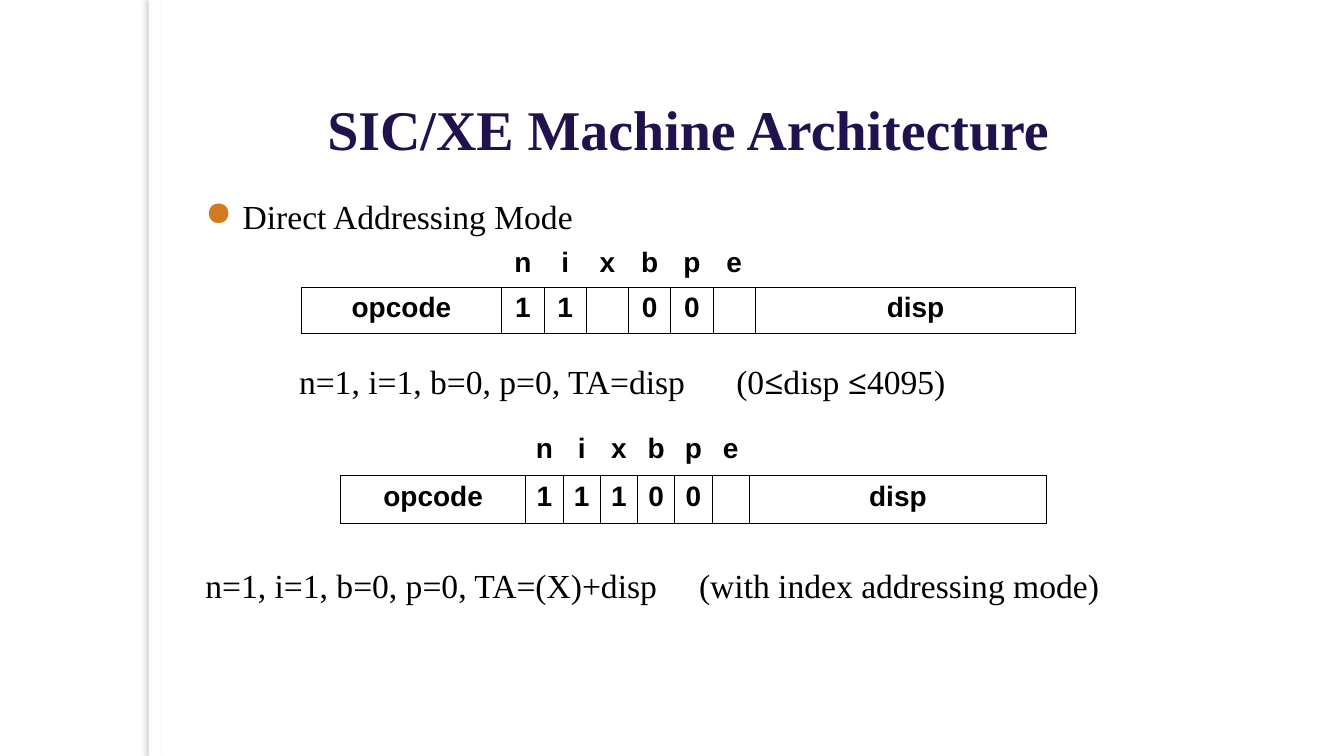
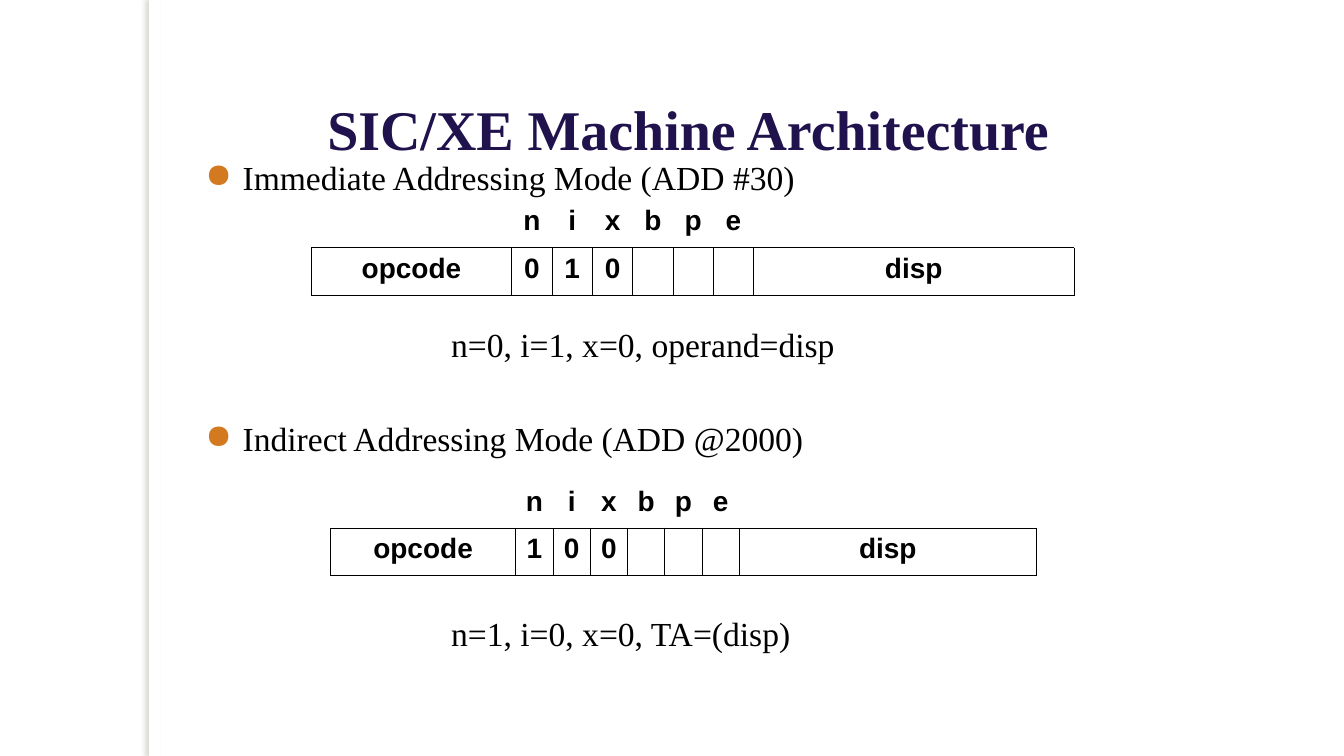
from dataclasses import dataclass
from itertools import groupby

from lxml.etree import SubElement
from pptx import Presentation
from pptx.dml.color import RGBColor
from pptx.enum.shapes import MSO_SHAPE
from pptx.enum.text import MSO_ANCHOR, PP_ALIGN
from pptx.oxml.ns import qn
from pptx.slide import Slide
from pptx.table import _Cell
from pptx.text.text import TextFrame, _Paragraph
from pptx.util import Inches, Pt

# Shared look
WHITE = RGBColor(0xFF, 0xFF, 0xFF)
BLACK = RGBColor(0x00, 0x00, 0x00)
NAVY = RGBColor(0x20, 0x12, 0x4D)
ORANGE = RGBColor(0xD3, 0x7A, 0x21)
SHADOW_GREY = RGBColor(0x73, 0x6F, 0x63)
SERIF, SANS, SYMBOL_FONT = "Times New Roman", "Arial", "Open Sans"
SLIDE_WIDTH, SLIDE_HEIGHT = 13.34, 7.5
TITLE = "SIC/XE Machine Architecture"
TITLE_LEFT, TITLE_WIDTH = 0.72, 12.22
HEADING_LEFT, HEADING_INDENT = 1.94, 0.37
FLAGS = "nixbpe"
PLAIN_TABLE_STYLE = "{2D5ABB26-0587-4C30-8999-92F81FD0307C}"


@dataclass(frozen=True)
class Heading:
    text: str
    top: float
    width: float
    height: float


@dataclass(frozen=True)
class Note:
    """A line of text; a second phrase starts at the tab stop."""
    phrases: tuple[str, ...]
    left: float
    top: float
    width: float
    height: float = 0.63
    tab_stop: float = 0


@dataclass(frozen=True)
class Instruction:
    """An instruction format; bits holds a space where a flag is open."""
    bits: str
    left: float
    top: float
    opcode_width: float
    flag_width: float
    disp_width: float
    row_height: float


@dataclass(frozen=True)
class Page:
    title_top: float
    title_height: float
    headings: tuple[Heading, ...]
    instructions: tuple[Instruction, ...]
    notes: tuple[Note, ...]


PAGES = (
    Page(
        1.04, 0.46,
        (Heading("Direct Addressing Mode", 1.89, 8.93, 0.46),),
        (Instruction("11 00 ", 2.99, 2.4, 1.99, 0.42, 3.18, 0.45),
         Instruction("11100 ", 3.38, 4.25, 1.84, 0.37, 2.95, 0.47)),
        (Note(("n=1, i=1, b=0, p=0, TA=disp", "(0≤disp ≤4095)"),
              2.87, 3.53, 7.8, tab_stop=4.34),
         Note(("n=1, i=1, b=0, p=0, TA=(X)+disp", "(with index addressing mode)"),
              1.94, 5.55, 10.28, 1.42, 4.9)),
    ),
    Page(
        0.96, 0.63,
        (Heading("Immediate Addressing Mode (ADD #30)", 1.51, 8.5, 0.48),
         Heading("Indirect Addressing Mode (ADD @2000)", 4.1, 8.5, 0.63)),
        (Instruction("010   ", 3.09, 1.99, 1.99, 0.4, 3.18, 0.47),
         Instruction("100   ", 3.28, 4.77, 1.84, 0.37, 2.95, 0.47)),
        (Note(("n=0, i=1, x=0, operand=disp",), 4.38, 3.16, 4.8),
         Note(("n=1, i=0, x=0, TA=(disp)",), 4.38, 6.03, 4.33)),
    ),
)


def set_font(paragraph: _Paragraph, name: str, size: int,
             color: RGBColor, bold: bool = False) -> None:
    font = paragraph.font
    font.name, font.size, font.bold = name, Pt(size), bold
    font.color.rgb = color


def add_box(slide: Slide, left: float, top: float,
            width: float, height: float) -> TextFrame:
    box = slide.shapes.add_textbox(
        Inches(left), Inches(top), Inches(width), Inches(height))
    box.text_frame.word_wrap = True
    return box.text_frame


def draw_side_band(slide: Slide) -> None:
    band = slide.shapes.add_shape(
        MSO_SHAPE.RECTANGLE, Inches(1.48), 0, Inches(0.11), Inches(SLIDE_HEIGHT))
    band.fill.solid()
    band.fill.fore_color.rgb = WHITE
    band.line.fill.background()
    band.shadow.inherit = False
    # Soft shadow cast to the left
    effects = band.element.spPr.find(qn("a:effectLst"))
    shadow = SubElement(effects, qn("a:outerShdw"), blurRad=str(Pt(3)),
                        dist=str(Pt(3)), dir="10800000", rotWithShape="0")
    color = SubElement(shadow, qn("a:srgbClr"), val=str(SHADOW_GREY))
    SubElement(color, qn("a:alpha"), val="25000")


def draw_title(slide: Slide, top: float, height: float) -> None:
    frame = add_box(slide, TITLE_LEFT, top, TITLE_WIDTH, height)
    frame.vertical_anchor = MSO_ANCHOR.MIDDLE
    paragraph = frame.paragraphs[0]
    paragraph.text = TITLE
    paragraph.alignment = PP_ALIGN.CENTER
    set_font(paragraph, SERIF, 40, NAVY, bold=True)


def draw_heading(slide: Slide, heading: Heading) -> None:
    frame = add_box(slide, HEADING_LEFT, heading.top, heading.width, heading.height)
    paragraph = frame.paragraphs[0]
    paragraph.text = heading.text
    # Round bullet with a hanging indent
    properties = paragraph._p.get_or_add_pPr()
    properties.set("marL", str(Inches(HEADING_INDENT)))
    properties.set("indent", str(-Inches(HEADING_INDENT)))
    bullet_color = SubElement(properties, qn("a:buClr"))
    SubElement(bullet_color, qn("a:srgbClr"), val=str(ORANGE))
    SubElement(properties, qn("a:buChar"), char="●")
    set_font(paragraph, SERIF, 24, BLACK)


def draw_note(slide: Slide, note: Note) -> None:
    frame = add_box(slide, note.left, note.top, note.width, note.height)
    paragraph = frame.paragraphs[0]
    if note.tab_stop:
        tabs = SubElement(paragraph._p.get_or_add_pPr(), qn("a:tabLst"))
        SubElement(tabs, qn("a:tab"), pos=str(Inches(note.tab_stop)), algn="l")
    set_font(paragraph, SERIF, 24, BLACK)
    text = "\t".join(note.phrases)
    for is_symbol, letters in groupby(text, lambda letter: letter == "≤"):
        span = paragraph.add_run()
        span.text = "".join(letters)
        if is_symbol:
            span.font.name = SYMBOL_FONT


def set_borders(cell: _Cell, sides: str) -> None:
    properties = cell._tc.get_or_add_tcPr()
    for side in sides:
        line = SubElement(properties, qn(f"a:ln{side}"), w=str(Pt(0.75)))
        fill = SubElement(line, qn("a:solidFill"))
        SubElement(fill, qn("a:srgbClr"), val=str(BLACK))


def fill_cell(cell: _Cell, text: str, sides: str) -> None:
    cell.margin_left = cell.margin_right = Inches(0.1)
    cell.margin_top, cell.margin_bottom = Inches(0.07), Inches(0.05)
    set_borders(cell, sides)
    cell.fill.background()
    paragraph = cell.text_frame.paragraphs[0]
    if text:
        paragraph.text = text
    paragraph.alignment = PP_ALIGN.CENTER
    paragraph.line_spacing = 0.93
    set_font(paragraph, SANS, 20, BLACK, bold=True)


def draw_instruction(slide: Slide, instruction: Instruction) -> None:
    widths = [instruction.opcode_width,
              *[instruction.flag_width] * len(FLAGS), instruction.disp_width]
    rows = (
        (["", *FLAGS, ""], "B"),
        (["opcode", *(bit.strip() for bit in instruction.bits), "disp"], "LRTB"),
    )
    frame = slide.shapes.add_table(
        len(rows), len(widths), Inches(instruction.left), Inches(instruction.top),
        Inches(sum(widths)), Inches(instruction.row_height * len(rows)))
    table = frame.table
    table.first_row = table.horz_banding = False
    table._tbl.tblPr.find(qn("a:tableStyleId")).text = PLAIN_TABLE_STYLE
    for column, width in zip(table.columns, widths):
        column.width = Inches(width)
    for row, (texts, sides) in zip(table.rows, rows):
        row.height = Inches(instruction.row_height)
        for cell, text in zip(row.cells, texts):
            fill_cell(cell, text, sides)


def draw_page(slide: Slide, page: Page) -> None:
    draw_side_band(slide)
    draw_title(slide, page.title_top, page.title_height)
    for instruction in page.instructions:
        draw_instruction(slide, instruction)
    for heading in page.headings:
        draw_heading(slide, heading)
    for note in page.notes:
        draw_note(slide, note)


def main() -> None:
    deck = Presentation()
    deck.slide_width, deck.slide_height = Inches(SLIDE_WIDTH), Inches(SLIDE_HEIGHT)
    blank_layout = deck.slide_layouts[6]
    for page in PAGES:
        draw_page(deck.slides.add_slide(blank_layout), page)
    deck.save("out.pptx")


if __name__ == "__main__":
    main()
